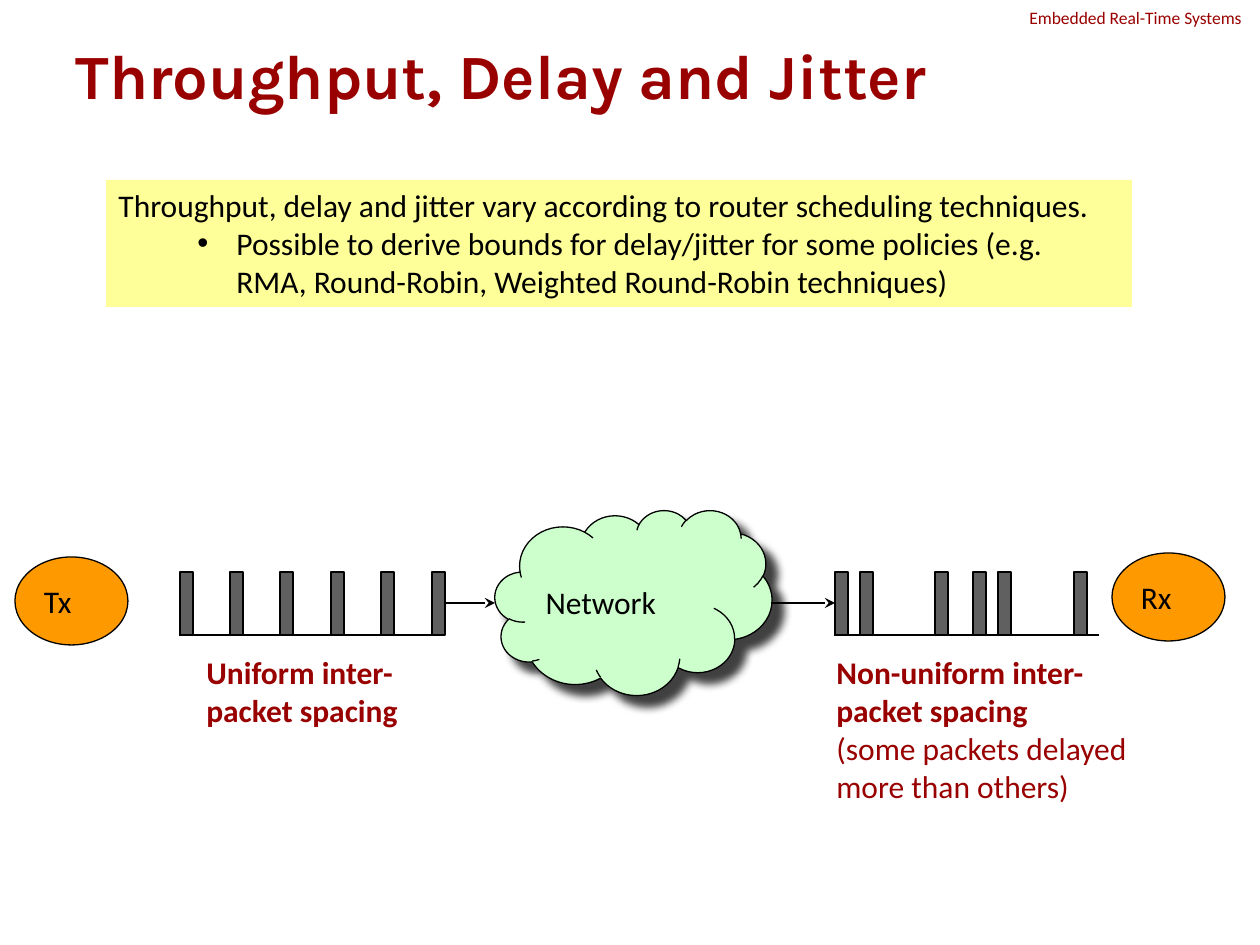
from lxml import etree
from pptx import Presentation
from pptx.dml.color import RGBColor
from pptx.enum.shapes import MSO_CONNECTOR as Connector, MSO_SHAPE as Shape
from pptx.enum.text import MSO_ANCHOR as Anchor, PP_ALIGN as Align
from pptx.oxml import parse_xml
from pptx.oxml.ns import nsdecls, qn
from pptx.util import Pt

SCALE = 914400 / 126
RED = RGBColor(0x99, 0x00, 0x00)
BLACK = RGBColor(0x00, 0x00, 0x00)
GREEN = RGBColor(0xCC, 0xFF, 0xCC)
GREY = RGBColor(0x60, 0x60, 0x60)
ORANGE = RGBColor(0xFF, 0x99, 0x00)
YELLOW = RGBColor(0xFF, 0xFF, 0x99)

BAR_TOP, BAR_WIDTH, BAR_HEIGHT = 572, 13, 63
UNIFORM_SLOTS = range(0, 24, 4)
JITTERED_SLOTS = (0, 2, 8, 11, 13, 19)


def px(length):
    return round(length * SCALE)


def add_span(para, text, size=18, color=BLACK, bold=False, font="Calibri"):
    span = para.add_run()
    span.text = text
    span.font.name = font
    span.font.size = Pt(size)
    span.font.bold = bold
    span.font.color.rgb = color
    para.alignment = Align.LEFT


def add_title(page, text):
    title = page.shapes.title
    title.left, title.top, title.width, title.height = map(px, (63, 38, 1134, 72))
    title.text_frame.vertical_anchor = Anchor.MIDDLE
    add_span(title.text_frame.paragraphs[0], text, 36, RED, True, "Karla")


def add_text(page, left, top, width, height, lines, size=18):
    box = page.shapes.add_textbox(*map(px, (left, top, width, height)))
    frame = box.text_frame
    frame.word_wrap = True
    for index, (text, bold) in enumerate(lines):
        para = frame.add_paragraph() if index else frame.paragraphs[0]
        add_span(para, text, size, RED, bold)


def add_box(page, kind, left, top, width, height, fill, outlined=True):
    box = page.shapes.add_shape(kind, *map(px, (left, top, width, height)))
    box.shadow.inherit = False
    box.fill.solid()
    box.fill.fore_color.rgb = fill
    if outlined:
        box.line.color.rgb = BLACK
        box.line.width = Pt(0.75)
    else:
        box.line.fill.background()
    return box


def add_line(page, left, right, y, arrow=False):
    line = page.shapes.add_connector(
        Connector.STRAIGHT, px(left), px(y), px(right), px(y))
    line.line.color.rgb = BLACK
    line.line.width = Pt(0.75)
    if arrow:
        etree.SubElement(line.line._get_or_add_ln(), qn("a:tailEnd"), type="stealth")
    etree.SubElement(line._element.spPr, qn("a:effectLst"))


def add_packets(page, left, slots):
    add_line(page, left - 1, left + 264, BAR_TOP + BAR_HEIGHT)
    for slot in slots:
        add_box(page, Shape.RECTANGLE, left + slot * 63 // 5, BAR_TOP,
                BAR_WIDTH, BAR_HEIGHT, GREY)


def add_station(page, left, top, name):
    station = add_box(page, Shape.OVAL, left, top, 113, 88, ORANGE)
    station.text_frame.word_wrap = False
    station.text_frame.vertical_anchor = Anchor.MIDDLE
    add_span(station.text_frame.paragraphs[0], name)


def add_network(page):
    cloud = add_box(page, Shape.CLOUD, 495, 510, 277, 185, GREEN)
    effects = cloud._element.spPr.find(qn("a:effectLst"))
    effects.append(parse_xml(
        f'<a:outerShdw {nsdecls("a")} blurRad="{Pt(5)}" dist="{Pt(8.5)}" '
        'dir="2700000" algn="ctr" rotWithShape="0"><a:srgbClr val="000000">'
        '<a:alpha val="75000"/></a:srgbClr></a:outerShdw>'))
    frame = cloud.text_frame
    frame.vertical_anchor = Anchor.TOP
    frame.margin_top = px(45)
    add_span(frame.paragraphs[0], "Network")


def add_summary(page, statement, detail):
    panel = add_box(page, Shape.RECTANGLE, 106, 180, 1026, 127, YELLOW, False)
    frame = panel.text_frame
    frame.word_wrap = True
    frame.vertical_anchor = Anchor.TOP
    add_span(frame.paragraphs[0], statement)
    para = frame.add_paragraph()
    para.level = 1
    add_span(para, detail)
    props = para._p.get_or_add_pPr()
    props.set("marL", str(px(118)))
    props.set("indent", str(px(-39)))
    etree.SubElement(props, qn("a:buFont"), typeface="Arial")
    etree.SubElement(props, qn("a:buChar"), char="•")


def main():
    deck = Presentation()
    deck.slide_width, deck.slide_height = px(1260), px(945)
    page = deck.slides.add_slide(deck.slide_layouts[5])
    add_text(page, 1017, 1, 240, 34, [("Embedded Real-Time Systems", False)], 10)
    add_title(page, "Throughput, Delay and Jitter")
    add_network(page)
    add_packets(page, 180, UNIFORM_SLOTS)
    add_packets(page, 835, JITTERED_SLOTS)
    add_line(page, 445, 495, 603, arrow=True)
    add_line(page, 771, 835, 603, arrow=True)
    add_station(page, 15, 557, "Tx")
    add_station(page, 1112, 553, "Rx")
    add_text(page, 194, 647, 252, 88, [("Uniform inter-packet spacing", True)])
    add_text(page, 824, 647, 328, 164, [
        ("Non-uniform inter-packet spacing", True),
        ("(some packets delayed more than others)", False)])
    add_summary(
        page,
        "Throughput, delay and jitter vary according to router scheduling techniques.",
        "Possible to derive bounds for delay/jitter for some policies "
        "(e.g. RMA, Round-Robin, Weighted Round-Robin techniques)")
    deck.save("out.pptx")


if __name__ == "__main__":
    main()
